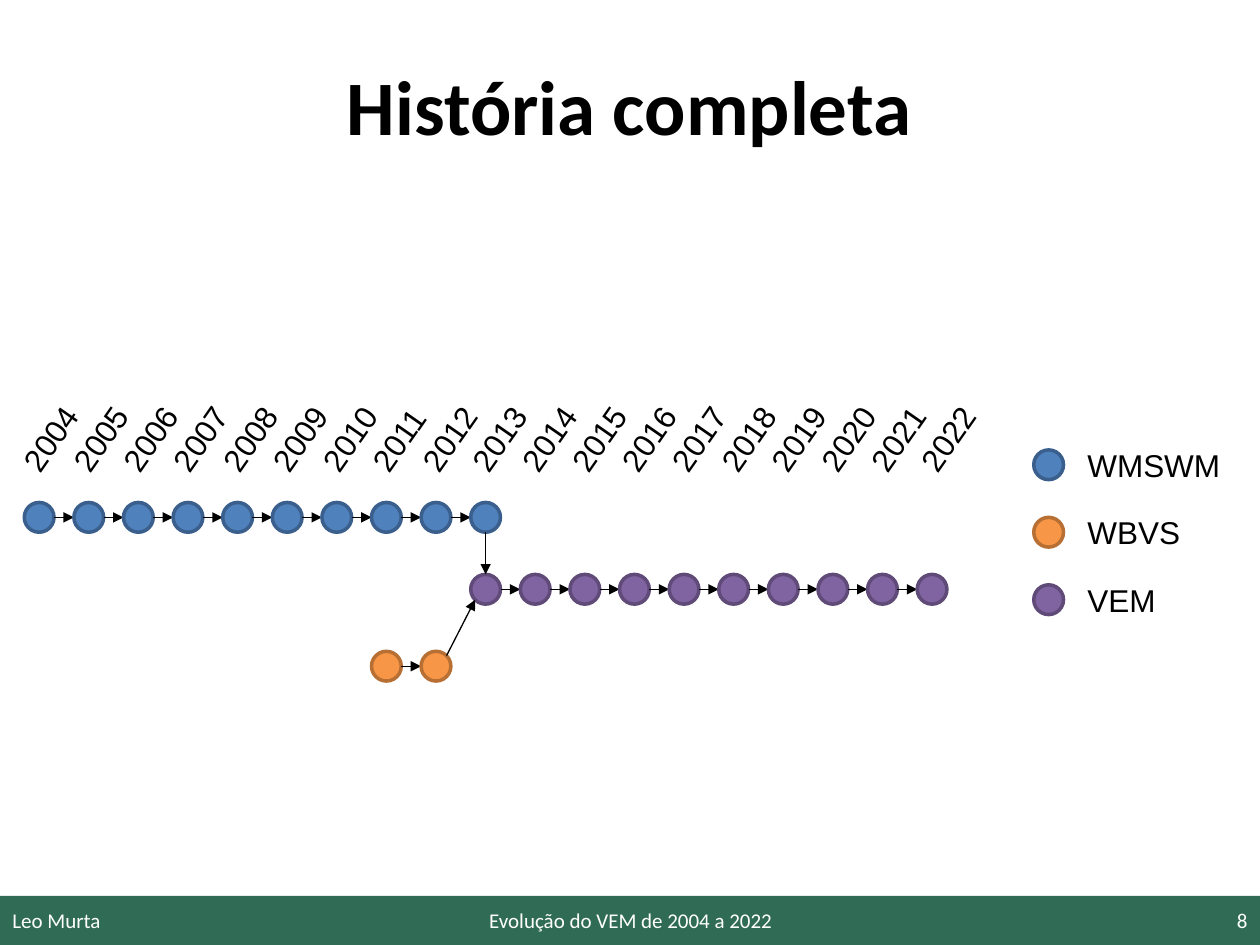
from math import sqrt

from pptx import Presentation
from pptx.dml.color import RGBColor as Rgb
from pptx.enum.shapes import MSO_CONNECTOR as Link, MSO_SHAPE as Shape
from pptx.enum.text import MSO_ANCHOR as Anchor, MSO_AUTO_SIZE as AutoSize, PP_ALIGN as Align
from pptx.oxml.ns import qn
from pptx.util import Cm, Pt
from lxml.etree import SubElement

COLORS = {
    "text": "000000", "footer": "306B55", "footer_text": "FFFFFF",
    "WMSWM": "4F81BD", "WMSWM_edge": "3A5F8C",
    "WBVS": "F79646", "WBVS_edge": "B76F34",
    "VEM": "8064A2", "VEM_edge": "5F4A78",
}
TITLE = {"name": "Calibri", "size": Pt(44), "bold": True}
FOOTER = {"name": "Calibri", "size": Pt(12)}
LABEL = {"name": "Arial", "size": Pt(18)}

FIRST_YEAR, LAST_YEAR = 2004, 2022
FIRST_X, YEAR_STEP, DOT = 0.49, 1.0, 0.6
# Workshop: first year, last year, top of its row
TIMELINES = {
    "WMSWM": (2004, 2013, 10.13),
    "WBVS": (2011, 2012, 13.13),
    "VEM": (2013, 2022, 11.58),
}


class SlideBuilder:
    def __init__(self, deck):
        self.page = deck.slides.add_slide(deck.slide_layouts[5])
        self.shapes = self.page.shapes

    def color(self, name):
        return Rgb.from_string(COLORS[name])

    def add_text(self, box, text, style, color="text", align=Align.LEFT):
        para = box.text_frame.paragraphs[0]
        para.alignment = align
        span = para.add_run()
        span.text = text
        for key, value in style.items():
            setattr(span.font, key, value)
        span.font.color.rgb = self.color(color)

    def title(self, text, *place):
        box = self.shapes.title
        for key, value in zip(("left", "top", "width", "height"), place):
            setattr(box, key, Cm(value))
        box.text_frame.vertical_anchor = Anchor.MIDDLE
        self.add_text(box, text, TITLE, align=Align.CENTER)

    def bar(self, *place):
        bar = self.shapes.add_shape(Shape.RECTANGLE, *map(Cm, place))
        bar.shadow.inherit = False
        bar.fill.solid()
        bar.fill.fore_color.rgb = self.color("footer")
        bar.line.fill.background()

    def footer(self, text, align, *place):
        box = self.shapes.add_textbox(*map(Cm, place))
        box.text_frame.word_wrap = True
        box.text_frame.vertical_anchor = Anchor.MIDDLE
        self.add_text(box, text, FOOTER, "footer_text", align)

    def label(self, text, left, top, width, rotation=0):
        box = self.shapes.add_textbox(Cm(left), Cm(top), Cm(width), Cm(1.02))
        box.rotation = rotation
        box.text_frame.word_wrap = False
        box.text_frame.auto_size = AutoSize.SHAPE_TO_FIT_TEXT
        self.add_text(box, text, LABEL)

    def dot(self, workshop, left, top):
        dot = self.shapes.add_shape(Shape.OVAL, Cm(left), Cm(top), Cm(DOT), Cm(DOT))
        dot.shadow.inherit = False
        dot.fill.solid()
        dot.fill.fore_color.rgb = self.color(workshop)
        dot.line.color.rgb = self.color(workshop + "_edge")
        dot.line.width = Pt(2)

    def arrow(self, *ends):
        arrow = self.shapes.add_connector(Link.STRAIGHT, *map(Cm, ends))
        arrow.line.color.rgb = self.color("text")
        arrow.line.width = Pt(0.75)
        properties = arrow._element.spPr
        SubElement(properties.get_or_add_ln(), qn("a:tailEnd"), type="triangle")
        SubElement(properties, qn("a:effectLst"))


def year_left(year):
    return FIRST_X + (year - FIRST_YEAR) * YEAR_STEP


def center(workshop, year):
    return year_left(year) + DOT / 2, TIMELINES[workshop][2] + DOT / 2


def main():
    deck = Presentation()
    deck.slide_width, deck.slide_height = Cm(25.4), Cm(19.05)
    slide = SlideBuilder(deck)

    # Title and footer
    slide.bar(0, 18.06, 25.4, 0.99)
    slide.title("História completa", 2.54, 0.53, 20.3, 3.18)
    slide.footer("Leo Murta", Align.LEFT, 0, 18.03, 5.92, 1.02)
    slide.footer("Evolução do VEM de 2004 a 2022", Align.CENTER, 8.69, 18.03, 8.05, 1.02)
    slide.footer("8", Align.RIGHT, 19.48, 18.03, 5.92, 1.02)

    # Slanted year labels, slightly wider apart than the dots
    for index, year in enumerate(range(FIRST_YEAR, LAST_YEAR + 1)):
        slide.label(str(year), 0.05 + index * 1.005, 8.32, 1.93, rotation=304.9)

    # One row of linked dots per workshop
    for workshop, (first, last, top) in TIMELINES.items():
        for year in range(first, last + 1):
            left = year_left(year)
            slide.dot(workshop, left, top)
            if year < last:
                middle = top + DOT / 2
                slide.arrow(left + DOT, middle, left + YEAR_STEP, middle)

    # Both older workshops merge into VEM
    radius, corner = DOT / 2, DOT / 2 / sqrt(2)
    vem_x, vem_y = center("VEM", 2013)
    old_x, old_y = center("WMSWM", 2013)
    slide.arrow(old_x, old_y + radius, vem_x, vem_y - radius)
    old_x, old_y = center("WBVS", 2012)
    slide.arrow(old_x + corner, old_y - corner, vem_x - corner, vem_y + corner)

    # Legend
    for row, (workshop, width) in enumerate({"WMSWM": 3.23, "WBVS": 2.41, "VEM": 1.91}.items()):
        top = 9.07 + row * 1.36
        slide.dot(workshop, 20.84, top)
        slide.label(workshop, 21.67, top - 0.21, width)

    deck.save("out.pptx")


if __name__ == "__main__":
    main()
